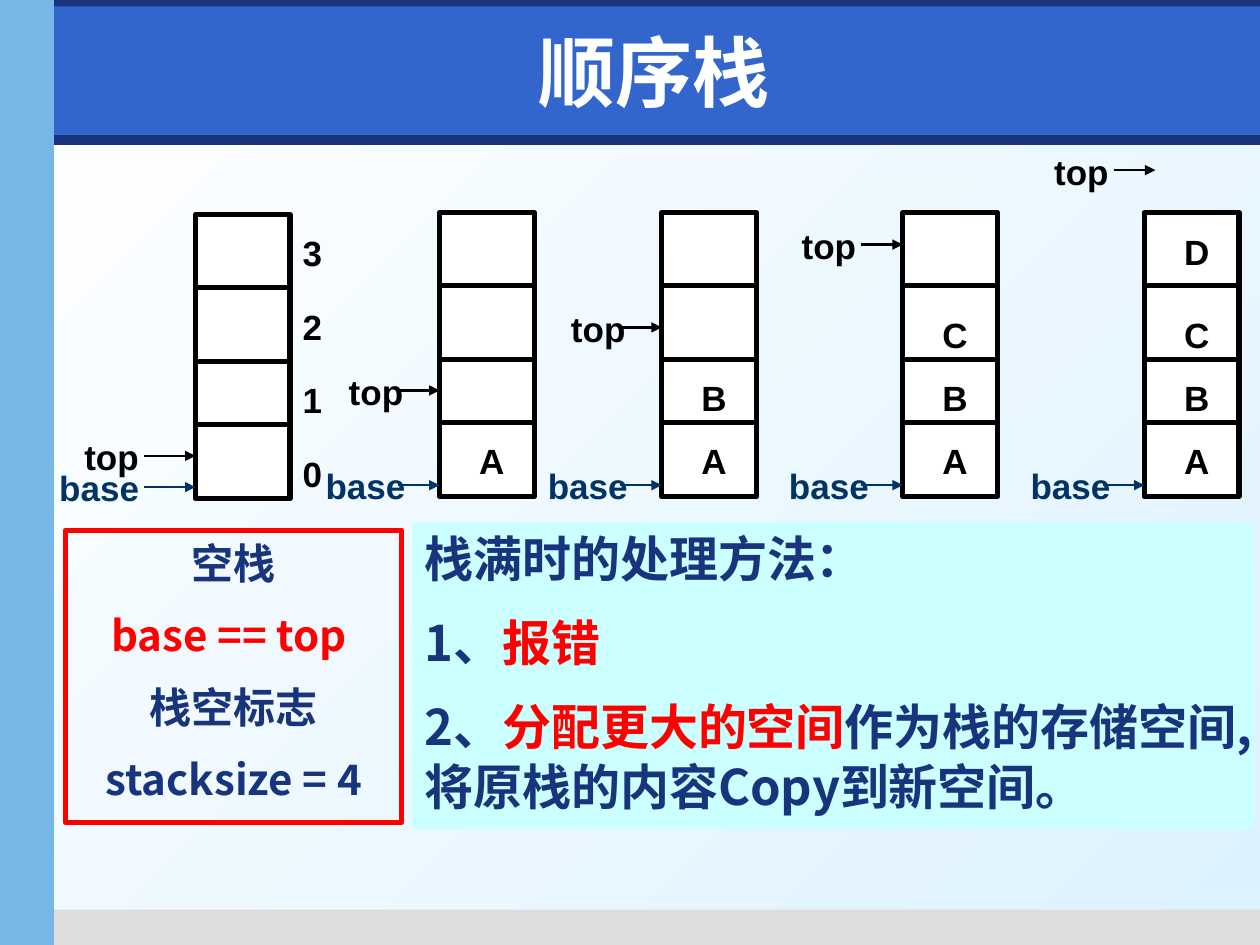
from pptx import Presentation, util as u
from pptx.dml.color import RGBColor
from pptx.enum import shapes, text
from pptx.oxml import ns
from lxml import etree

WHITE = RGBColor(0xFF, 0xFF, 0xFF)
BLACK = RGBColor(0, 0, 0)
RED = RGBColor(0xFF, 0, 0)
NAVY = RGBColor(0x17, 0x34, 0x7D)
BLUE = RGBColor(0x33, 0x66, 0xCC)
SKY = RGBColor(0x77, 0xB7, 0xE7)
PALE = RGBColor(0xDD, 0xF2, 0xFF)
GREY = RGBColor(0xDD, 0xDD, 0xDD)
CYAN = RGBColor(0xCC, 0xFF, 0xFF)
TEAL = RGBColor(0, 0x33, 0x66)

CJK = "Noto Sans CJK SC"
CELL_W, STACK_H = 1.91, 5.72
DIVIDERS = (1.47, 2.95, 4.22)
LABEL_W, LABEL_H = 3.38, 1.09
ITEM_TOPS = {"A": 8.74, "B": 7.47, "C": 6.2, "D": 4.52}

# left, top, contents, arrow length, base label offset,
# top label offset, height of the top arrow, shift of the top arrow
STACKS = [
    (8.86, 4.29, "A", 0.84, 3.18, 2.97, 7.87, 0),
    (13.34, 4.29, "AB", 0.84, 3.18, 2.97, 6.6, 0),
    (18.2, 4.29, "ABC", 0.84, 3.18, 3.18, 4.93, 0),
    (23.07, 4.29, "ABCD", 0.84, 3.18, 2.96, 3.43, 0.22),
    (3.94, 4.33, "", 1.04, 3.63, 3.38, 9.19, 0),
]


def place(*lengths):
    return [u.Cm(length) for length in lengths]


def add_rect(parent, left, top, width, height, fill=None, line=None):
    box = parent.add_shape(shapes.MSO_SHAPE.RECTANGLE, *place(left, top, width, height))
    box.shadow.inherit = False
    if fill is None:
        box.fill.background()
    else:
        box.fill.solid()
        box.fill.fore_color.rgb = fill
    if line is None:
        box.line.fill.background()
    else:
        box.line.color.rgb = line
        box.line.width = u.Pt(3)
    return box


def add_line(parent, start, end, color=BLACK, width=3, arrow=False):
    line = parent.add_connector(shapes.MSO_CONNECTOR.STRAIGHT, *place(*start, *end))
    line.line.color.rgb = color
    line.line.width = u.Pt(width)
    if arrow:
        outline = line.line._get_or_add_ln()
        etree.SubElement(outline, ns.qn("a:tailEnd"), type="triangle")
    etree.SubElement(line._element.spPr, ns.qn("a:effectLst"))


def write(box, paragraphs, size=20, font="Arial", color=BLACK, centered=True,
          middle=False, line_spacing=None):
    """Each paragraph is a list of (words, colour); None means the base colour."""
    frame = box.text_frame
    frame.word_wrap = True
    frame.vertical_anchor = text.MSO_ANCHOR.MIDDLE if middle else text.MSO_ANCHOR.TOP
    for index, spans in enumerate(paragraphs):
        para = frame.add_paragraph() if index else frame.paragraphs[0]
        para.alignment = text.PP_ALIGN.CENTER if centered else text.PP_ALIGN.LEFT
        if index:
            para.space_before = u.Pt(size / 2)
        if line_spacing:
            para.line_spacing = u.Pt(line_spacing)
        for words, span_color in spans:
            span = para.add_run()
            span.text = words
            span.font.size = u.Pt(size)
            span.font.bold = True
            span.font.name = font
            span.font.color.rgb = span_color or color
            etree.SubElement(span.font._element, ns.qn("a:ea"), typeface=font)


def add_label(parent, words, left, top, width=LABEL_W, height=LABEL_H, **style):
    box = parent.add_textbox(*place(left, top, width, height))
    write(box, [[(words, None)]], **style)


def add_stack(page, left, top, items, reach, base_gap, top_gap, top_y, shift):
    group = page.shapes.add_group_shape().shapes
    add_rect(group, left, top, CELL_W, STACK_H, WHITE, BLACK)
    for offset in DIVIDERS:
        add_line(group, (left, top + offset), (left + CELL_W, top + offset))
    for item in items:
        add_label(group, item, left + 0.21, ITEM_TOPS[item], 1.69)
    # Pointers
    base_y = top + 5.49
    pointers = (("base", base_y, base_gap, 0, TEAL), ("top", top_y, top_gap, shift, BLACK))
    for name, y, gap, move, color in pointers:
        end = left + move
        add_line(group, (end - reach, y), (end, y), color, 1.5, arrow=True)
        label_top = y - (0.53 if name == "top" else 0.55)
        add_label(group, name, left - gap, label_top, color=color)
    # Cell numbers beside the empty stack
    if not items:
        for row in range(4):
            add_label(group, str(3 - row), left + CELL_W, 4.55 + 1.48 * row, 0.85,
                      centered=False)


def add_frame(page):
    fill = page.background.fill
    fill.gradient()
    fill.gradient_angle = 315
    for stop, color in zip(fill.gradient_stops, (WHITE, PALE)):
        stop.color.rgb = color
    for bar in ((0.1, 2.72, 25.3, 0.2, NAVY), (0.89, 18.34, 24.51, 0.71, GREY),
                (0, 0, 25.4, 0.53, NAVY), (1.09, 0.13, 24.31, 2.59, BLUE),
                (0, 0, 1.09, 19.05, SKY)):
        add_rect(page.shapes, *bar)


def main():
    deck = Presentation()
    deck.slide_width, deck.slide_height = place(25.4, 19.05)
    page = deck.slides.add_slide(deck.slide_layouts[6])

    # Frame and title
    add_frame(page)
    add_label(page.shapes, "顺序栈", 1.5, 0.33, 23.39, 2.21, size=44,
              font="Open Sans", color=WHITE, middle=True)

    # Empty stack summary
    summary = add_rect(page.shapes, 1.32, 10.69, 6.78, 5.89, line=RED)
    write(summary, [[("空栈", None)], [("base == top ", RED)],
                    [("栈空标志", None)], [("stacksize = 4", None)]],
          size=24, font=CJK, color=NAVY, line_spacing=29.2)

    # Stacks
    for stack in STACKS:
        add_stack(page, *stack)

    # Handling of a full stack
    advice = add_rect(page.shapes, 8.31, 10.52, 16.97, 6.2, CYAN)
    write(advice, [[("栈满时的处理方法：", None)],
                   [("1、", None), ("报错", RED)],
                   [("2、", None), ("分配更大的空间", RED),
                    ("作为栈的存储空间,将原栈的内容Copy到新空间。", None)]],
          size=28, font=CJK, color=NAVY, centered=False, line_spacing=34)

    deck.save("out.pptx")


main()
